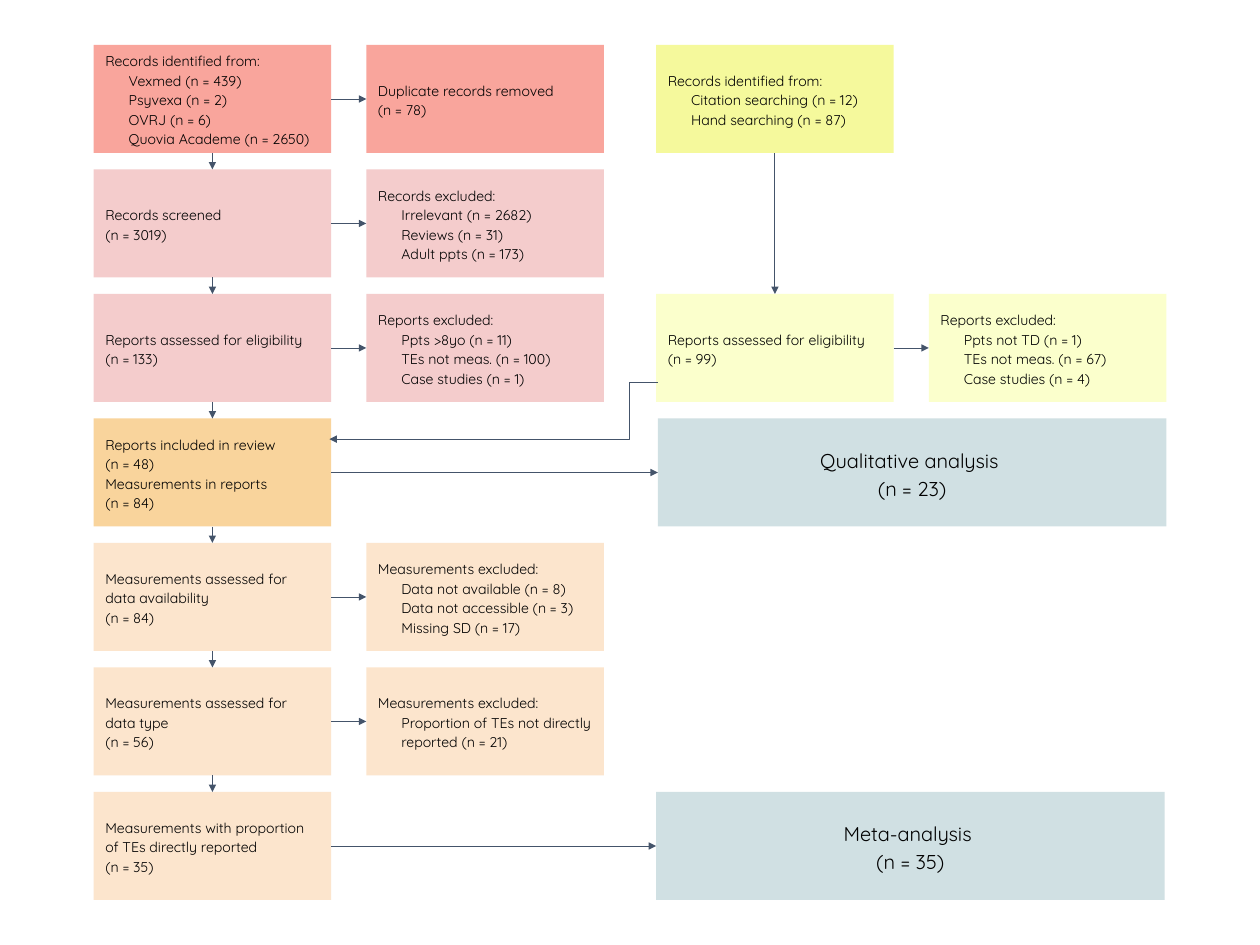
"""Build a flow chart of record screening, from identification to analysis."""
from lxml.etree import SubElement
from pptx import Presentation
from pptx.dml.color import RGBColor
from pptx.enum.shapes import MSO_CONNECTOR, MSO_SHAPE
from pptx.enum.text import MSO_ANCHOR, PP_ALIGN
from pptx.oxml.ns import qn
from pptx.util import Inches, Pt

RED = RGBColor(0xF9, 0xA5, 0x9C)
PINK = RGBColor(0xF4, 0xCC, 0xCC)
YELLOW = RGBColor(0xF5, 0xF9, 0x9C)
PALE_YELLOW = RGBColor(0xFB, 0xFF, 0xCC)
ORANGE = RGBColor(0xF9, 0xD4, 0x9C)
PEACH = RGBColor(0xFC, 0xE5, 0xCD)
TEAL = RGBColor(0xD0, 0xE0, 0xE3)
BLACK = RGBColor(0, 0, 0)
SLATE = RGBColor(0x44, 0x54, 0x6A)

FONT = "Quicksand"
FIRST_ROW, LAST_ROW, BOX_HEIGHT = 0.5, 8.8, 1.2
ROW_STEP = (LAST_ROW - FIRST_ROW) / 6
BOX_WIDTH, WIDE_WIDTH = 2.64, 5.65
MAIN, EXCLUDED, OTHER, OTHER_EXCLUDED = 1.04, 4.07, 7.29, 10.32
QUALITATIVE_LEFT = 7.31
TOP_SIDE, LEFT_SIDE, BOTTOM_SIDE, RIGHT_SIDE = range(4)

BOXES = [
    ("identified", MAIN, 0, RED, ["Records identified from:"],
     ["Vexmed (n = 439)", "Psyvexa (n = 2)", "OVRJ (n = 6)", "Quovia Academe (n = 2650)"]),
    ("duplicates", EXCLUDED, 0, RED, ["Duplicate records removed \n(n = 78)"], []),
    ("other identified", OTHER, 0, YELLOW, ["Records identified from:"],
     ["Citation searching (n = 12)", "Hand searching (n = 87)"]),
    ("screened", MAIN, 1, PINK, ["Records screened\n(n = 3019)"], []),
    ("records excluded", EXCLUDED, 1, PINK, ["Records excluded:"],
     ["Irrelevant (n = 2682)", "Reviews (n = 31)", "Adult ppts (n = 173)"]),
    ("eligibility", MAIN, 2, PINK, ["Reports assessed for eligibility\n(n = 133)"], []),
    ("reports excluded", EXCLUDED, 2, PINK, ["Reports excluded:"],
     ["Ppts >8yo (n = 11)", "TEs not meas. (n = 100)", "Case studies (n = 1)"]),
    ("other eligibility", OTHER, 2, PALE_YELLOW,
     ["Reports assessed for eligibility\n(n = 99)"], []),
    ("other excluded", OTHER_EXCLUDED, 2, PALE_YELLOW, ["Reports excluded:"],
     ["Ppts not TD (n = 1)", "TEs not meas. (n = 67)", "Case studies (n = 4)"]),
    ("included", MAIN, 3, ORANGE,
     ["Reports included in review\n(n = 48)", "Measurements in reports\n(n = 84)"], []),
    ("qualitative", QUALITATIVE_LEFT, 3, TEAL, ["Qualitative analysis \n(n = 23)"], []),
    ("availability", MAIN, 4, PEACH,
     ["Measurements assessed for data availability\n(n = 84)"], []),
    ("unavailable", EXCLUDED, 4, PEACH, ["Measurements excluded:"],
     ["Data not available (n = 8)\nData not accessible (n = 3)\nMissing SD (n = 17)"]),
    ("data type", MAIN, 5, PEACH, ["Measurements assessed for data type\n(n = 56)"], []),
    ("not reported", EXCLUDED, 5, PEACH, ["Measurements excluded:"],
     ["Proportion of TEs not directly reported (n = 21)"]),
    ("proportion", MAIN, 6, PEACH,
     ["Measurements with proportion of TEs directly reported \n(n = 35)"], []),
    ("meta-analysis", OTHER, 6, TEAL, ["Meta-analysis \n(n = 35)"], []),
]

DOWN_ARROWS = [
    ("identified", "screened"), ("screened", "eligibility"), ("eligibility", "included"),
    ("included", "availability"), ("availability", "data type"), ("data type", "proportion"),
    ("other identified", "other eligibility"),
]
RIGHT_ARROWS = [
    ("identified", "duplicates"), ("screened", "records excluded"),
    ("eligibility", "reports excluded"), ("other eligibility", "other excluded"),
    ("included", "qualitative"), ("availability", "unavailable"),
    ("data type", "not reported"), ("proportion", "meta-analysis"),
]


def add_box(slide, left, row, fill, headings, items):
    is_result = fill == TEAL
    shape = slide.shapes.add_shape(
        MSO_SHAPE.RECTANGLE, Inches(left), Inches(FIRST_ROW + row * ROW_STEP),
        Inches(WIDE_WIDTH if is_result else BOX_WIDTH), Inches(BOX_HEIGHT))
    shape.shadow.inherit = False
    shape.fill.solid()
    shape.fill.fore_color.rgb = fill
    shape.line.fill.background()
    frame = shape.text_frame
    frame.word_wrap = True
    frame.vertical_anchor = MSO_ANCHOR.MIDDLE
    frame.margin_left = frame.margin_right = Inches(0.13)
    frame.margin_top = frame.margin_bottom = Inches(0.13)
    for index, text in enumerate(headings + items):
        paragraph = frame.add_paragraph() if index else frame.paragraphs[0]
        paragraph.alignment = PP_ALIGN.CENTER if is_result else PP_ALIGN.LEFT
        paragraph.line_spacing = 1.15
        if index >= len(headings):
            paragraph._p.get_or_add_pPr().set("marL", str(Inches(0.26)))
        for number, line in enumerate(text.split("\n")):
            if number:
                paragraph.add_line_break()
            run = paragraph.add_run()
            run.text = line
            run.font.name = FONT
            run.font.size = Pt(16 if is_result else 11.3)
            run.font.color.rgb = BLACK
    return shape


def add_arrow(slide, kind, start=(0, 0), end=(0, 0)):
    connector = slide.shapes.add_connector(
        kind, *[Inches(value) for value in (*start, *end)])
    connector.line.color.rgb = SLATE
    connector.line.width = Pt(0.75)
    SubElement(connector.line._get_or_add_ln(), qn("a:tailEnd"), type="triangle")
    SubElement(connector._element.spPr, qn("a:effectLst"))
    return connector


presentation = Presentation()
presentation.slide_width = Inches(14)
presentation.slide_height = Inches(10.5)
slide = presentation.slides.add_slide(presentation.slide_layouts[6])

boxes = {name: add_box(slide, *details) for name, *details in BOXES}

for pairs, start_side, end_side in (
    (DOWN_ARROWS, BOTTOM_SIDE, TOP_SIDE),
    (RIGHT_ARROWS, RIGHT_SIDE, LEFT_SIDE),
):
    for source, target in pairs:
        arrow = add_arrow(slide, MSO_CONNECTOR.STRAIGHT)
        arrow.begin_connect(boxes[source], start_side)
        arrow.end_connect(boxes[target], end_side)

merge_arrow = add_arrow(slide, MSO_CONNECTOR.ELBOW, (7.31, 4.25), (3.66, 4.88))
adjustments = merge_arrow._element.spPr.find(qn("a:prstGeom")).get_or_add_avLst()
SubElement(adjustments, qn("a:gd"), name="adj1", fmla="val 8500")

presentation.save("out.pptx")
